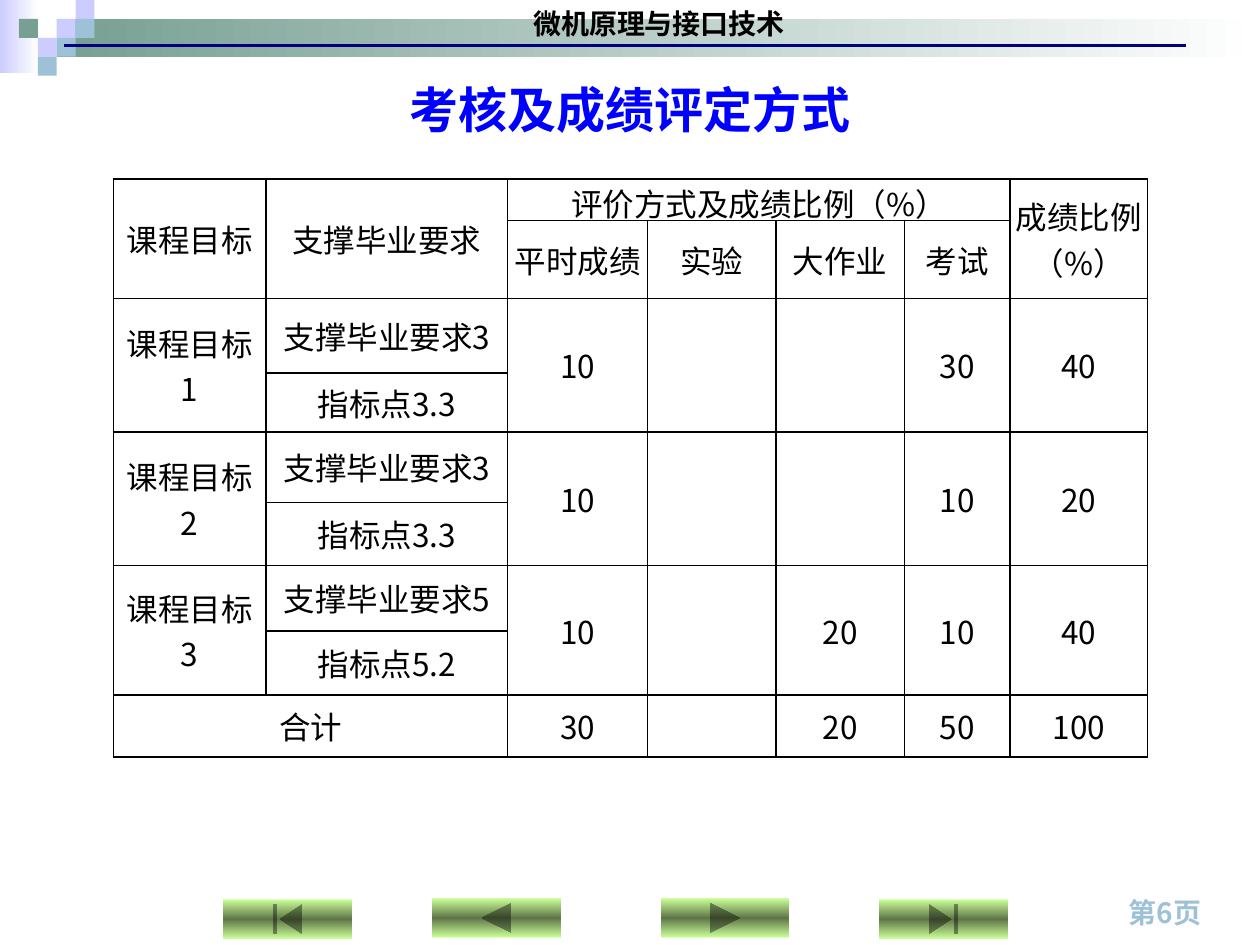
import pptx
import pptx.util
import pptx.dml.color
import pptx.enum.shapes
import pptx.enum.text
import pptx.oxml
import pptx.oxml.ns

Pt = pptx.util.Pt
SHAPE = pptx.enum.shapes.MSO_SHAPE
ALIGN = pptx.enum.text.PP_ALIGN
ANCHOR = pptx.enum.text.MSO_ANCHOR
NAMESPACE = pptx.oxml.ns.nsdecls("a")
CJK = "Noto Sans CJK SC"
LILAC, SKY, SAGE = "CCCCFF", "9DC2D7", "779F92"


def color(code):
    """Turn a hex string into a colour."""
    return pptx.dml.color.RGBColor.from_string(code)


def write(frame, text, size=18, font=CJK, code="000000", bold=False, align=ALIGN.CENTER):
    """Write one formatted paragraph into a text frame."""
    frame.word_wrap = True
    para = frame.paragraphs[0]
    para.alignment = align
    span = para.add_run()
    span.text = text
    span.font.size, span.font.name, span.font.bold = Pt(size), font, bold
    span.font.color.rgb = color(code)
    east_asian = pptx.oxml.parse_xml(f'<a:ea {NAMESPACE} typeface="{CJK}"/>')
    span.font._element.append(east_asian)


def add_text(page, box, text, anchor=ANCHOR.TOP, **style):
    """Place a text box in the given box."""
    frame = page.shapes.add_textbox(*map(Pt, box)).text_frame
    frame.vertical_anchor = anchor
    write(frame, text, **style)


def add_block(page, box, colors, angle=0, kind=SHAPE.RECTANGLE):
    """Place an unlined shape with a plain fill or an even gradient."""
    shape = page.shapes.add_shape(kind, *map(Pt, box))
    shape.shadow.inherit = False
    shape.line.fill.background()
    if len(colors) == 1:
        shape.fill.solid()
        shape.fill.fore_color.rgb = color(colors[0])
        return
    stops = "".join(
        f'<a:gs pos="{100000 * index // (len(colors) - 1)}"><a:srgbClr val="{code}"/></a:gs>'
        for index, code in enumerate(colors))
    gradient = pptx.oxml.parse_xml(
        f'<a:gradFill {NAMESPACE} rotWithShape="1"><a:gsLst>{stops}</a:gsLst>'
        f'<a:lin ang="{angle * 60000}" scaled="0"/></a:gradFill>')
    shape._element.spPr.find(pptx.oxml.ns.qn("a:prstGeom")).addnext(gradient)


def add_header(page, box):
    """Place the banner, its mosaic of squares, the course name and the rule."""
    left, top, width, height = box
    unit = 10.8
    add_block(page, (left, top, 22, 41.8), [LILAC, "FFFFFF"])
    add_block(page, (left + 32.4, top + unit, width - 32.4, 2 * unit), [SAGE, "FFFFFF"])
    squares = [(3, 1, LILAC), (4, 0, LILAC), (4, 1, SKY), (2, 2, LILAC),
               (1, 1, SAGE), (3, 2, SKY), (2, 3, SKY)]
    for column, row, code in squares:
        add_block(page, (left + column * unit, top + row * unit, unit, unit), [code])
    add_text(page, (left + 110.2, top, 532.8, 26.6), "微机原理与接口技术", size=16, bold=True)
    rule = page.shapes.add_connector(
        pptx.enum.shapes.MSO_CONNECTOR.STRAIGHT,
        Pt(left + 36.8), Pt(top + 26), Pt(left + 677.5), Pt(top + 26))
    rule.line.color.rgb = color("000080")
    rule.line.width = Pt(1.25)
    rule._element.spPr.append(pptx.oxml.parse_xml(f"<a:effectLst {NAMESPACE}/>"))


def add_footer(page, box):
    """Place the navigation buttons and the page number."""
    left, top, width, height = box
    buttons = [(127.5, 0.7, SHAPE.ACTION_BUTTON_BEGINNING),
               (247, 0, SHAPE.ACTION_BUTTON_BACK_OR_PREVIOUS),
               (377.5, 0, SHAPE.ACTION_BUTTON_FORWARD_OR_NEXT),
               (502.5, 0.7, SHAPE.ACTION_BUTTON_END)]
    for offset, drop, kind in buttons:
        add_block(page, (left + offset, top + drop, 73.5, height),
                  ["CCFF99", "5E7647", "CCFF99"], angle=90, kind=kind)
    add_text(page, (left + 638, top - 5, 73.4, 26.6), "第6页",
             size=16, code=SKY, bold=True, align=ALIGN.LEFT)


def add_borders(cell):
    """Draw a thin black line on every side of a cell."""
    properties = cell._tc.get_or_add_tcPr()
    for index, side in enumerate(("lnL", "lnR", "lnT", "lnB")):
        properties.insert(index, pptx.oxml.parse_xml(
            f'<a:{side} {NAMESPACE} w="12700"><a:solidFill><a:srgbClr val="000000"/>'
            f'</a:solidFill></a:{side}>'))


def add_grades(page, box):
    """Place the grading table."""
    widths = [87.1, 138.2, 79.9, 73.4, 73.4, 60.5, 78.5]
    heights = [23.8, 37.4, 42.5, 33.8, 40.3, 36, 37.4, 36.7, 35.3]
    goals = [("3", "3.3", ["10", "", "", "30", "40"]),
             ("3", "3.3", ["10", "", "", "10", "20"]),
             ("5", "5.2", ["10", "", "20", "10", "40"])]
    rows = [["课程目标", "支撑毕业要求", "评价方式及成绩比例（%）", "", "", "", "成绩比例（%）"],
            ["", "", "平时成绩", "实验", "大作业", "考试", ""]]
    merges = [(0, 0, 1, 0), (0, 1, 1, 1), (0, 2, 0, 5), (0, 6, 1, 6), (8, 0, 8, 1)]
    for number, (demand, point, scores) in enumerate(goals, 1):
        merges += [(2 * number, column, 2 * number + 1, column) for column in (0, 2, 3, 4, 5, 6)]
        rows += [[f"课程目标{number}", f"支撑毕业要求{demand}", *scores],
                 ["", f"指标点{point}"] + [""] * 5]
    rows.append(["合计", "", "30", "", "20", "50", "100"])

    table = page.shapes.add_table(len(rows), len(widths), *map(Pt, box)).table
    table.first_row = table.horz_banding = False
    for column, width in zip(table.columns, widths):
        column.width = Pt(width)
    for line, height, texts in zip(table.rows, heights, rows):
        line.height = Pt(height)
        for cell, text in zip(line.cells, texts):
            cell.fill.background()
            cell.vertical_anchor = ANCHOR.MIDDLE
            cell.margin_left = cell.margin_right = Pt(2.9)
            cell.margin_top = cell.margin_bottom = Pt(0.7)
            add_borders(cell)
            if text:
                write(cell.text_frame, text)
    for top, left, bottom, right in merges:
        table.cell(top, left).merge(table.cell(bottom, right))


deck = pptx.Presentation()
deck.slide_width, deck.slide_height = Pt(720), Pt(540)
page = deck.slides.add_slide(deck.slide_layouts[6])
add_header(page, (0, 0, 720, 43.2))
add_footer(page, (0, 513.3, 720, 22.5))
add_text(page, (36, 36, 648, 52.6), "考核及成绩评定方式", anchor=ANCHOR.MIDDLE,
         size=28, font="Arial", code="0000FF", bold=True)
add_grades(page, (64.8, 102.2, 590.4, 324.7))
deck.save("out.pptx")
